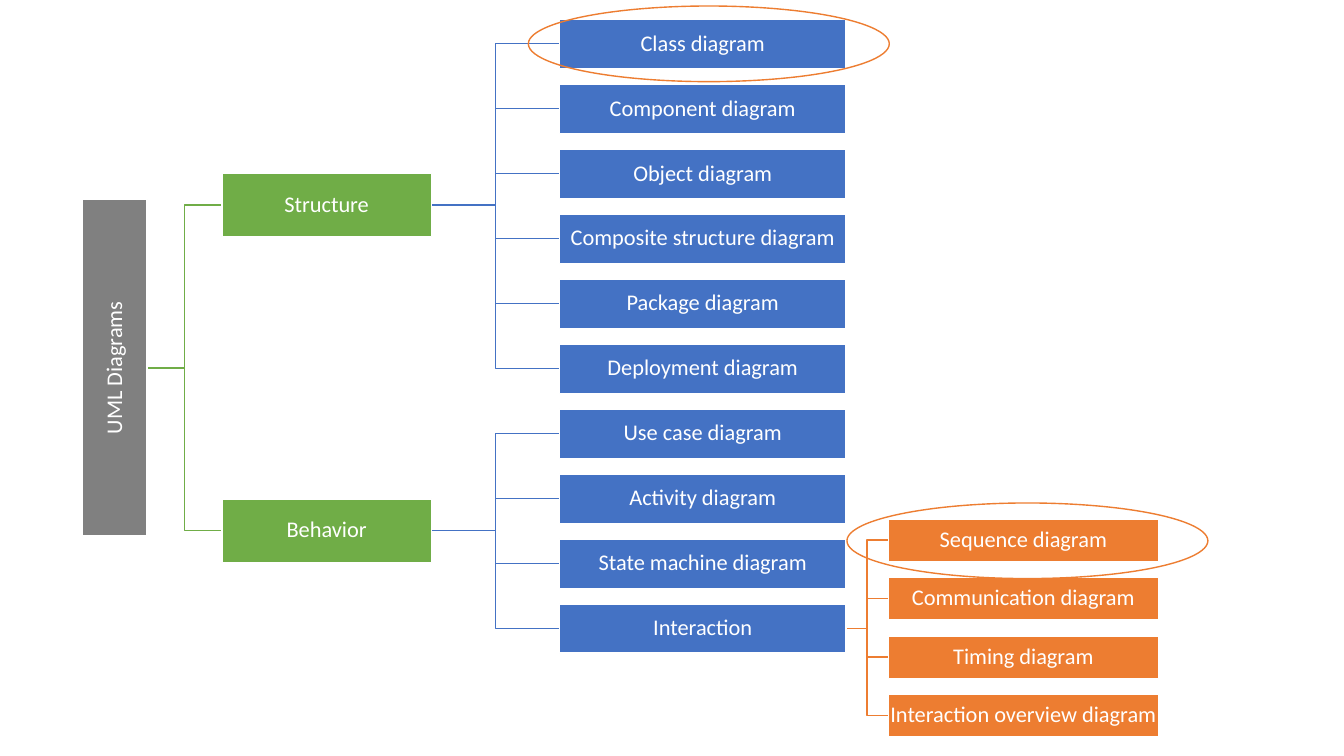
from pptx import Presentation
from pptx import util as u
from pptx.dml.color import RGBColor
from pptx.enum import shapes, text
from pptx.oxml import parse_xml
from pptx.oxml.ns import nsdecls

GRAY = RGBColor(0x80, 0x80, 0x80)
GREEN = RGBColor(0x70, 0xAD, 0x47)
BLUE = RGBColor(0x44, 0x72, 0xC4)
ORANGE = RGBColor(0xED, 0x7D, 0x31)
WHITE = RGBColor(0xFF, 0xFF, 0xFF)

STRUCTURE = ["Class diagram", "Component diagram", "Object diagram",
             "Composite structure diagram", "Package diagram", "Deployment diagram"]
BEHAVIOR = ["Use case diagram", "Activity diagram", "State machine diagram", "Interaction"]
INTERACTION = ["Sequence diagram", "Communication diagram", "Timing diagram",
               "Interaction overview diagram"]


def write(frame, words, size=16, font="Calibri", color=WHITE):
    """Write centred words into a text frame."""
    frame.word_wrap = True
    frame.vertical_anchor = text.MSO_ANCHOR.MIDDLE
    frame.margin_left = frame.margin_right = u.Inches(0.01)
    frame.margin_top = frame.margin_bottom = u.Inches(0.01)
    para = frame.paragraphs[0]
    para.alignment = text.PP_ALIGN.CENTER
    para.line_spacing = 0.9
    span = para.add_run()
    span.text = words
    span.font.size = u.Pt(size)
    span.font.name = font
    span.font.color.rgb = color


def add_node(page, words, box, color):
    """Add a filled, labelled rectangle in the given box."""
    node = page.shapes.add_shape(shapes.MSO_SHAPE.RECTANGLE, *map(u.Inches, box))
    node.shadow.inherit = False
    node.fill.solid()
    node.fill.fore_color.rgb = color
    node.line.color.rgb = WHITE
    node.line.width = u.Pt(1)
    write(node.text_frame, words)
    return node


def add_column(page, labels, box, node_height, color):
    """Spread equal nodes from the top to the bottom of the box."""
    left, top, width, height = box
    pitch = (height - node_height) / (len(labels) - 1)
    return [add_node(page, label, (left, top + row * pitch, width, node_height), color)
            for row, label in enumerate(labels)]


def link(page, parent, children, color):
    """Join a parent to each child with an elbow behind the nodes."""
    for child in children:
        elbow = page.shapes.add_connector(shapes.MSO_CONNECTOR.ELBOW, 0, 0, 0, 0)
        elbow.begin_connect(parent, 3)
        elbow.end_connect(child, 1)
        elbow.line.color.rgb = color
        elbow.line.width = u.Pt(1)
        elbow.element.spPr.append(parse_xml(f"<a:effectLst {nsdecls('a')}/>"))
        page.shapes.element.insert(2, elbow.element)


def add_highlight(page, box):
    """Ring a node with an unfilled ellipse."""
    ring = page.shapes.add_shape(shapes.MSO_SHAPE.OVAL, *map(u.Inches, box))
    ring.shadow.inherit = False
    ring.fill.background()
    ring.line.color.rgb = ORANGE
    ring.line.width = u.Pt(1)


def add_tree(page):
    """Build the tree of UML diagram types."""
    root = add_node(page, "UML Diagrams", (0.82, 1.98, 0.64, 3.34), GRAY)
    root.element.txBody.bodyPr.set("vert", "vert270")
    branches = add_column(page, ["Structure", "Behavior"], (2.2, 1.72, 2.08, 3.86), 0.63, GREEN)
    diagrams = add_column(page, STRUCTURE + BEHAVIOR, (5.55, 0.19, 2.84, 6.29), 0.49, BLUE)
    details = add_column(page, INTERACTION, (8.81, 5.15, 2.68, 2.16), 0.42, ORANGE)
    structure, behavior = branches
    split = len(STRUCTURE)
    link(page, root, branches, GREEN)
    link(page, structure, diagrams[:split], BLUE)
    link(page, behavior, diagrams[split:], BLUE)
    link(page, diagrams[-1], details, ORANGE)
    for left, top in ((5.24, 0.06), (8.4, 4.99)):
        add_highlight(page, (left, top, 3.58, 0.75))


def main():
    """Create and save the deck."""
    deck = Presentation()
    deck.slide_width = u.Inches(13.33)
    deck.slide_height = u.Inches(7.5)
    add_tree(deck.slides.add_slide(deck.slide_layouts[6]))
    deck.save("out.pptx")


if __name__ == "__main__":
    main()
